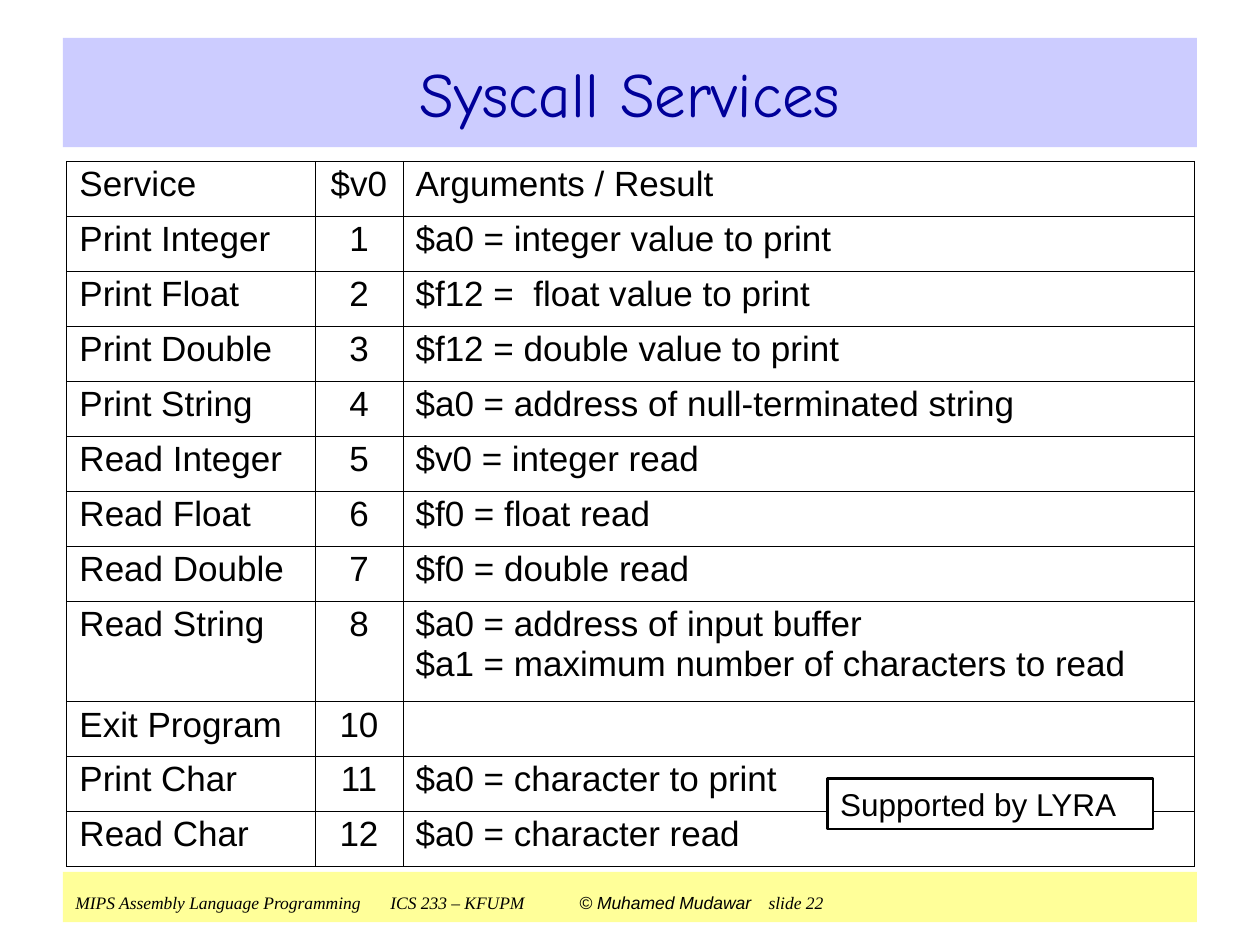
from lxml.etree import SubElement as Sub
from pptx import Presentation
from pptx.dml.color import RGBColor
from pptx.enum.shapes import MSO_SHAPE as Kind
from pptx.enum.text import MSO_ANCHOR as Anchor, PP_ALIGN as Align
from pptx.oxml.ns import qn
from pptx.util import Pt

ROWS = [
    ("Service", "$v0", ["Arguments / Result"]),
    ("Print Integer", "1", ["$a0 = integer value to print"]),
    ("Print Float", "2", ["$f12 =  float value to print"]),
    ("Print Double", "3", ["$f12 = double value to print"]),
    ("Print String", "4", ["$a0 = address of null-terminated string"]),
    ("Read Integer", "5", ["$v0 = integer read"]),
    ("Read Float", "6", ["$f0 = float read"]),
    ("Read Double", "7", ["$f0 = double read"]),
    ("Read String", "8", ["$a0 = address of input buffer",
                          "$a1 = maximum number of characters to read"]),
    ("Exit Program", "10", []),
    ("Print Char", "11", ["$a0 = character to print"]),
    ("Read Char", "12", ["$a0 = character read"]),
]
WIDTHS = (141.8, 50.3, 452.2)
LOW, HIGH = 31.4, 57.7


def color(code):
    """Turn a hex string into a colour."""
    return RGBColor.from_string(code)


def write(para, text, size, font="Arial", ink="000000", slant=False):
    """Add one run to a paragraph."""
    run = para.add_run()
    run.text = text
    run.font.size = Pt(size)
    run.font.name = font
    run.font.italic = slant
    run.font.color.rgb = color(ink)


def panel(slide, box, fill, anchor=Anchor.TOP, align=Align.LEFT, before=0, edge=None):
    """Draw a filled rectangle and return its first paragraph."""
    shape = slide.shapes.add_shape(Kind.RECTANGLE, *map(Pt, box))
    shape.shadow.inherit = False
    shape.fill.solid()
    shape.fill.fore_color.rgb = color(fill)
    if edge:
        shape.line.color.rgb = color("000000")
        shape.line.width = Pt(edge)
    else:
        shape.line.fill.background()
    frame = shape.text_frame
    frame.word_wrap = True
    frame.vertical_anchor = anchor
    para = frame.paragraphs[0]
    para.alignment = align
    para.space_before = Pt(before)
    return para


def title(slide, box):
    """Place the title band."""
    para = panel(slide, box, "CCCCFF", Anchor.MIDDLE, Align.CENTER)
    write(para, "Syscall Services", 36, "Comic Neue", "000099")


def footer(slide, box):
    """Place the footer band."""
    para = panel(slide, box, "FFFF99", before=6.2)
    serif = "Times New Roman"
    write(para, "MIPS Assembly Language Programming\tICS 233 – KFUPM\t", 10, serif, slant=True)
    write(para, "© Muhamed Mudawar", 10, slant=True)
    write(para, "  ", 18)
    write(para, "slide 22", 10, serif, slant=True)


def note(slide, box):
    """Place the framed note."""
    para = panel(slide, box, "FFFFFF", before=11.2, edge=1.5)
    write(para, "Supported by LYRA", 18)


def border(cell, sides):
    """Give a cell its black borders, keyed by side letter."""
    props = cell._tc.get_or_add_tcPr()
    for side, width in sides.items():
        line = Sub(props, qn("a:ln" + side), w=str(Pt(width)))
        Sub(Sub(line, qn("a:solidFill")), qn("a:srgbClr"), val="000000")


def fill_cell(cell, lines, align):
    """Write the lines of one cell."""
    cell.fill.background()
    cell.margin_left = cell.margin_right = Pt(7.2)
    cell.margin_top = cell.margin_bottom = Pt(3.6)
    frame = cell.text_frame
    for i, text in enumerate(lines):
        para = frame.add_paragraph() if i else frame.paragraphs[0]
        para.alignment = align
        para.line_spacing = 0.93
        para.space_before = Pt(2.5 if i else 10)
        write(para, text, 20)


def services(slide, left, top):
    """Place the table of services."""
    highs = [HIGH if len(row[2]) > 1 else LOW for row in ROWS]
    box = (left, top, sum(WIDTHS), sum(highs))
    table = slide.shapes.add_table(len(ROWS), len(WIDTHS), *map(Pt, box)).table
    table.first_row = table.horz_banding = False
    for col, width in zip(table.columns, WIDTHS):
        col.width = Pt(width)
    for r, (name, code, args) in enumerate(ROWS):
        table.rows[r].height = Pt(highs[r])
        for c, lines in enumerate(([name], [code], args)):
            cell = table.cell(r, c)
            outer = {"L": c == 0, "R": c == len(WIDTHS) - 1,
                     "T": r == 0, "B": r == len(ROWS) - 1}
            border(cell, {side: 0.51 if out else 0.23 for side, out in outer.items()})
            fill_cell(cell, lines, Align.CENTER if c == 1 else Align.LEFT)


def main():
    """Build the slide and save it."""
    deck = Presentation()
    deck.slide_width, deck.slide_height = Pt(720), Pt(540)
    slide = deck.slides.add_slide(deck.slide_layouts[6])
    footer(slide, (36, 498.2, 648, 28.8))
    title(slide, (36, 21.6, 648, 62.6))
    services(slide, 38.2, 92.2)
    note(slide, (473, 445, 186, 28.8))
    deck.save("out.pptx")


main()
